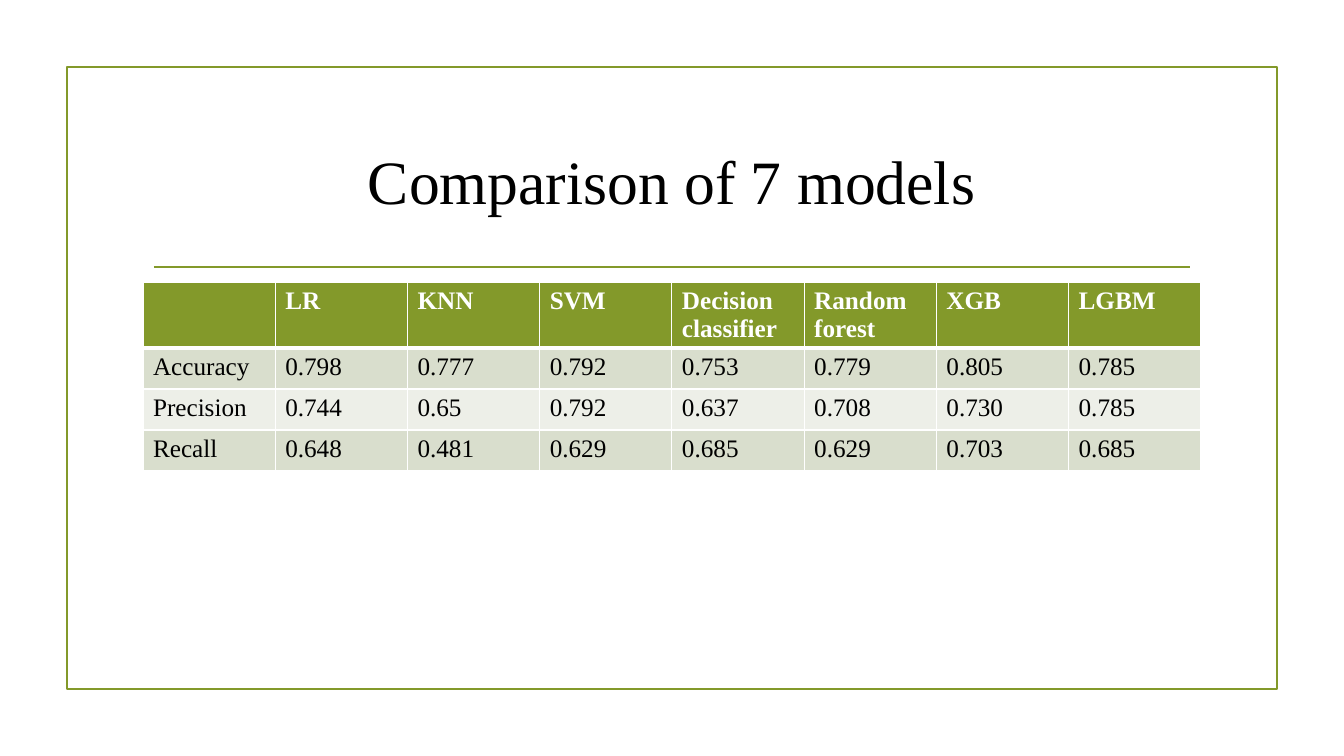
from lxml.etree import SubElement
from pptx import Presentation
from pptx.dml.color import RGBColor
from pptx.enum.shapes import MSO_CONNECTOR, MSO_SHAPE
from pptx.enum.text import MSO_ANCHOR, PP_ALIGN
from pptx.oxml.ns import qn
from pptx.util import Pt

SCALE = 914400 / 100.8
FONT = "Times New Roman"
GREEN, WHITE, BLACK = "83992A", "FFFFFF", "000000"
BANDS = ["D9DECD", "EDEFE8"]
HEAD, ROW = 65, 41
DATA = [
    ["", "LR", "KNN", "SVM", "Decision classifier", "Random forest", "XGB", "LGBM"],
    ["Accuracy", "0.798", "0.777", "0.792", "0.753", "0.779", "0.805", "0.785"],
    ["Precision", "0.744", "0.65", "0.792", "0.637", "0.708", "0.730", "0.785"],
    ["Recall", "0.648", "0.481", "0.629", "0.685", "0.629", "0.703", "0.685"],
]


def px(n):
    return round(n * SCALE)


def color(text):
    return RGBColor.from_string(text)


def write(para, text, size, tint, bold=False):
    run = para.add_run()
    run.text = text
    run.font.name = FONT
    run.font.size = Pt(size)
    run.font.bold = bold
    run.font.color.rgb = color(tint)


def frame(slide, x, y, w, h):
    box = slide.shapes.add_shape(MSO_SHAPE.RECTANGLE, px(x), px(y), px(w), px(h))
    box.shadow.inherit = False
    box.fill.background()
    box.line.color.rgb = color(GREEN)
    box.line.width = Pt(1.25)


def header(slide, x, y, w, h):
    title = slide.shapes.title
    title.left, title.top, title.width, title.height = px(x), px(y), px(w), px(h)
    text = title.text_frame
    text.word_wrap = True
    text.vertical_anchor = MSO_ANCHOR.MIDDLE
    para = text.paragraphs[0]
    para.alignment = PP_ALIGN.CENTER
    write(para, "Comparison of 7 models", 44, BLACK)
    level = px(y + h + 15)
    rule = slide.shapes.add_connector(
        MSO_CONNECTOR.STRAIGHT, px(x + 11), level, px(x + w - 11), level)
    rule.line.color.rgb = color(GREEN)
    rule.line.width = Pt(1.25)
    SubElement(rule._element.spPr, qn("a:effectLst"))


def border(cell, widths):
    props = cell._tc.get_or_add_tcPr()
    for side, width in zip("LRTB", widths):
        line = SubElement(props, qn(f"a:ln{side}"), w=str(Pt(width)))
        fill = SubElement(line, qn("a:solidFill"))
        SubElement(fill, qn("a:srgbClr"), val=WHITE)


def scores(slide, x, y, w):
    rows, cols = len(DATA), len(DATA[0])
    high = HEAD + ROW * (rows - 1)
    table = slide.shapes.add_table(rows, cols, px(x), px(y), px(w), px(high)).table
    for col in table.columns:
        col.width = px(w / cols)
    for r, line in enumerate(DATA):
        top = r == 0
        table.rows[r].height = px(HEAD if top else ROW)
        for c, text in enumerate(line):
            cell = table.cell(r, c)
            border(cell, [1, 1, 3 if r == 1 else 1, 3 if top else 1])
            cell.fill.solid()
            cell.fill.fore_color.rgb = color(GREEN if top else BANDS[(r - 1) % 2])
            if text:
                write(cell.text_frame.paragraphs[0], text, 18,
                      WHITE if top else BLACK, top)


def main():
    deck = Presentation()
    deck.slide_width, deck.slide_height = px(1344), px(756)
    slide = deck.slides.add_slide(deck.slide_layouts[5])
    frame(slide, 67, 67, 1210, 622)
    header(slide, 143, 108, 1058, 144)
    scores(slide, 143, 282, 1058)
    deck.save("out.pptx")


if __name__ == "__main__":
    main()
